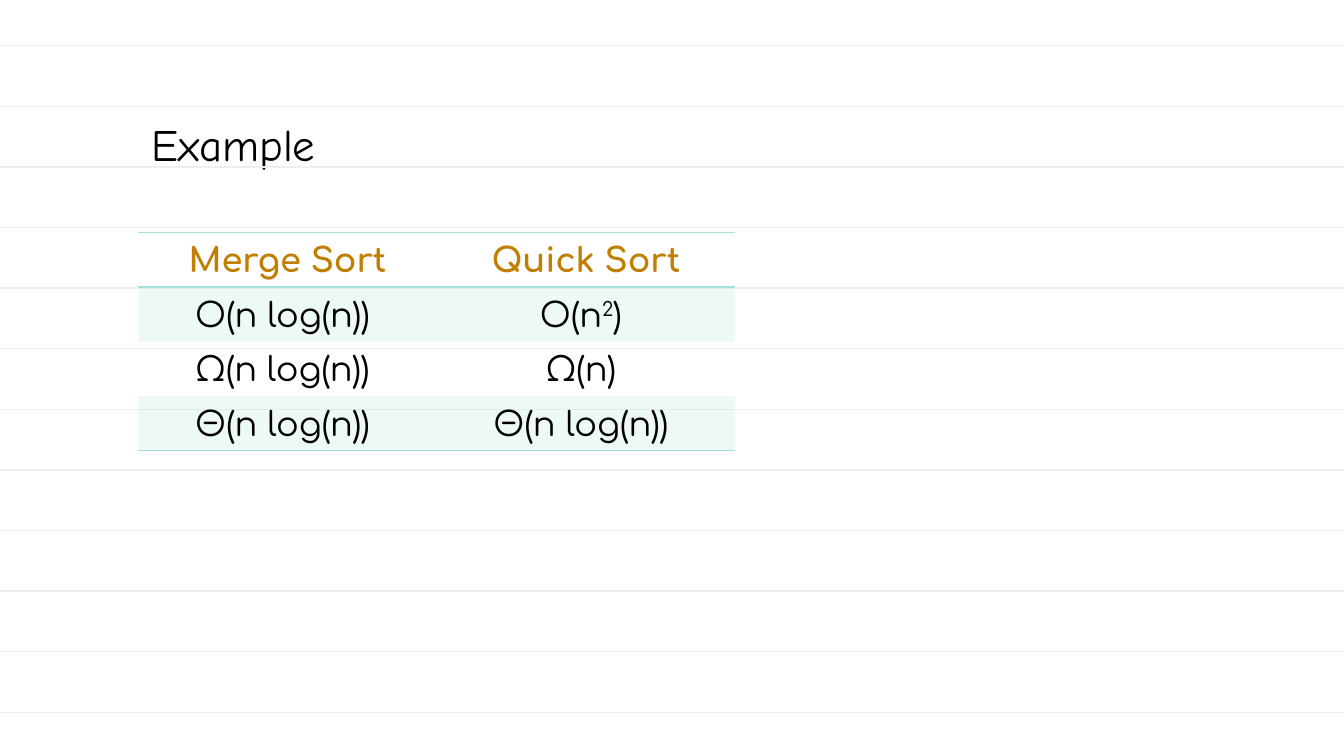
from dataclasses import dataclass

from lxml import etree
from pptx import Presentation
from pptx.dml.color import RGBColor
from pptx.enum import shapes, text
from pptx.oxml import ns
from pptx.util import Pt

RULE_COLOR = "EEEEEE"
ACCENT = "A6DFDA"
HEADING_COLOR = "C27E01"
BLACK = "000000"
NO_STYLE = "{2D5ABB26-0587-4C30-8999-92F81FD0307C}"


@dataclass(frozen=True)
class Row:
    cells: tuple
    color: str = BLACK
    bold: bool = False
    shaded: bool = False
    borders: tuple = ()


@dataclass(frozen=True)
class RuledPaper:
    first: float = 24.48
    gap: float = 32.47
    count: int = 12
    width: float = 722


ROWS = (
    Row((("Merge Sort",), ("Quick Sort",)), HEADING_COLOR, True, borders=("lnT", "lnB")),
    Row((("O(n log(n)) ",), ("O(n", "2", ") ")), shaded=True),
    Row((("Ω(n log(n)) ",), ("Ω(n) ",))),
    Row((("Θ(n log(n)) ",), ("Θ(n log(n)) ",)), shaded=True, borders=("lnB",)),
)


def rgb(value: str) -> RGBColor:
    return RGBColor.from_string(value)


def format_font(font, name: str, size: float, color: str, bold: bool = False) -> None:
    font.name = name
    font.size = Pt(size)
    font.bold = bold
    font.color.rgb = rgb(color)


def draw_rules(slide, paper: RuledPaper) -> None:
    for index in range(paper.count):
        y = Pt(paper.first + index * paper.gap)
        rule = slide.shapes.add_connector(shapes.MSO_CONNECTOR.STRAIGHT, 0, y, Pt(paper.width), y)
        rule.line.color.rgb = rgb(RULE_COLOR)
        rule.line.width = Pt(0.75)
        etree.SubElement(rule._element.spPr, ns.qn("a:effectLst"))


def draw_title(slide, title: str) -> None:
    shape = slide.shapes.title
    shape.left, shape.top, shape.width, shape.height = Pt(74.16), Pt(41), Pt(574), Pt(57.6)
    frame = shape.text_frame
    frame.text = title
    frame.vertical_anchor = text.MSO_ANCHOR.BOTTOM
    frame.auto_size = text.MSO_AUTO_SIZE.NONE
    frame.margin_left = frame.margin_right = frame.margin_top = frame.margin_bottom = Pt(7.2)
    paragraph = frame.paragraphs[0]
    paragraph.alignment = text.PP_ALIGN.LEFT
    format_font(paragraph.runs[0].font, "Comic Neue", 24, BLACK)


def add_borders(cell, edges: tuple) -> None:
    properties = cell._tc.get_or_add_tcPr()
    for index, edge in enumerate(edges):
        line = etree.Element(ns.qn(f"a:{edge}"), w=str(Pt(1)))
        fill = etree.SubElement(line, ns.qn("a:solidFill"))
        etree.SubElement(fill, ns.qn("a:srgbClr"), val=ACCENT)
        properties.insert(index, line)


def shade(cell) -> None:
    cell.fill.solid()
    cell.fill.fore_color.rgb = rgb(ACCENT)
    color = cell._tc.tcPr.find(".//" + ns.qn("a:srgbClr"))
    etree.SubElement(color, ns.qn("a:alpha"), val="20000")


def fill_cell(cell, parts: tuple, row: Row) -> None:
    cell.vertical_anchor = text.MSO_ANCHOR.BOTTOM
    cell.margin_left = cell.margin_right = Pt(7.2)
    cell.margin_top = cell.margin_bottom = Pt(3.6)
    paragraph = cell.text_frame.paragraphs[0]
    paragraph.alignment = text.PP_ALIGN.CENTER
    for index, part in enumerate(parts):
        run = paragraph.add_run()
        run.text = part
        format_font(run.font, "Comfortaa", 18, row.color, row.bold)
        if index == 1:
            run._r.get_or_add_rPr().set("baseline", "30000")
    if row.shaded:
        shade(cell)
    else:
        cell.fill.background()
    add_borders(cell, row.borders)


def draw_table(slide, rows: tuple) -> None:
    frame = slide.shapes.add_table(
        len(rows), len(rows[0].cells), Pt(74.16), Pt(124.6), Pt(319.68), Pt(29.2 * len(rows))
    )
    table = frame.table
    table.first_row = table.horz_banding = False
    table._tbl.tblPr.find(ns.qn("a:tableStyleId")).text = NO_STYLE
    for row_index, row in enumerate(rows):
        for column_index, parts in enumerate(row.cells):
            fill_cell(table.cell(row_index, column_index), parts, row)


def main() -> None:
    presentation = Presentation()
    presentation.slide_width, presentation.slide_height = Pt(720), Pt(405)
    slide = presentation.slides.add_slide(presentation.slide_layouts[5])
    slide.background.fill.solid()
    slide.background.fill.fore_color.rgb = rgb("FFFFFF")
    draw_rules(slide, RuledPaper())
    draw_title(slide, "Example")
    draw_table(slide, ROWS)
    presentation.save("out.pptx")


if __name__ == "__main__":
    main()
